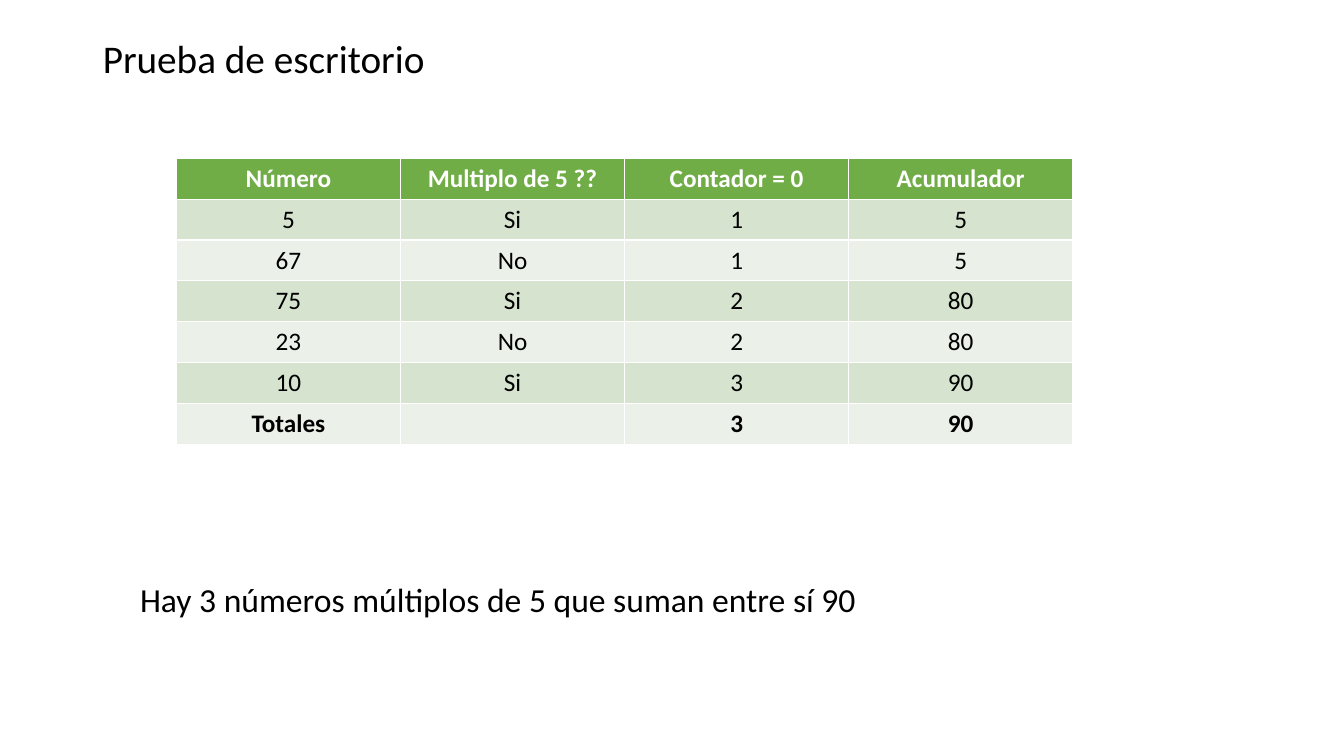
import pptx
import pptx.dml.color
import pptx.enum.text
import pptx.util

Inches = pptx.util.Inches
ALIGN = pptx.enum.text.PP_ALIGN

COLORS = {
    "text": "000000",
    "header_text": "FFFFFF",
    "header": "70AD47",
    "dark_band": "D5E3CF",
    "light_band": "EBF1E9",
}

ROWS = [
    ["Número", "Multiplo de 5 ??", "Contador = 0", "Acumulador"],
    ["5", "Si", "1", "5"],
    ["67", "No", "1", "5"],
    ["75", "Si", "2", "80"],
    ["23", "No", "2", "80"],
    ["10", "Si", "3", "90"],
    ["Totales", "", "3", "90"],
]


def rgb(name):
    return pptx.dml.color.RGBColor.from_string(COLORS[name])


def add_run(paragraph, text, size, color="text", bold=False):
    run = paragraph.add_run()
    run.text = text
    run.font.name = "Calibri"
    run.font.size = pptx.util.Pt(size)
    run.font.bold = bold
    run.font.color.rgb = rgb(color)


presentation = pptx.Presentation()
presentation.slide_width = Inches(13.33)
presentation.slide_height = Inches(7.5)
slide = presentation.slides.add_slide(presentation.slide_layouts.get_by_name("Title Only"))

# Heading
title = slide.shapes.title
title.left, title.top = Inches(0.92), Inches(0.34)
title.width, title.height = Inches(11.5), Inches(6.42)
title.text_frame.vertical_anchor = pptx.enum.text.MSO_ANCHOR.TOP
title.text_frame.auto_size = pptx.enum.text.MSO_AUTO_SIZE.NONE
paragraph = title.text_frame.paragraphs[0]
paragraph.alignment = ALIGN.JUSTIFY
paragraph.line_spacing = 0.9
paragraph.space_before = pptx.util.Pt(10)
add_run(paragraph, "Prueba de escritorio", 28)

# Trace table; the default table style supplies the white borders
table = slide.shapes.add_table(
    len(ROWS), len(ROWS[0]), Inches(1.75), Inches(1.57), Inches(8.89), Inches(2.84)
).table
for row_index, values in enumerate(ROWS):
    is_header = row_index == 0
    is_total = row_index == len(ROWS) - 1
    band = "header" if is_header else "dark_band" if row_index % 2 else "light_band"
    for column_index, value in enumerate(values):
        cell = table.cell(row_index, column_index)
        cell.fill.solid()
        cell.fill.fore_color.rgb = rgb(band)
        if value:
            paragraph = cell.text_frame.paragraphs[0]
            paragraph.alignment = ALIGN.CENTER
            color = "header_text" if is_header else "text"
            add_run(paragraph, value, 18, color, is_header or is_total)

# Conclusion
conclusion = slide.shapes.add_textbox(Inches(1.29), Inches(5.69), Inches(8.89), Inches(0.5))
conclusion.text_frame.word_wrap = True
conclusion.text_frame.auto_size = pptx.enum.text.MSO_AUTO_SIZE.SHAPE_TO_FIT_TEXT
add_run(
    conclusion.text_frame.paragraphs[0],
    "Hay 3 números múltiplos de 5 que suman entre sí 90",
    24,
)

presentation.save("out.pptx")
